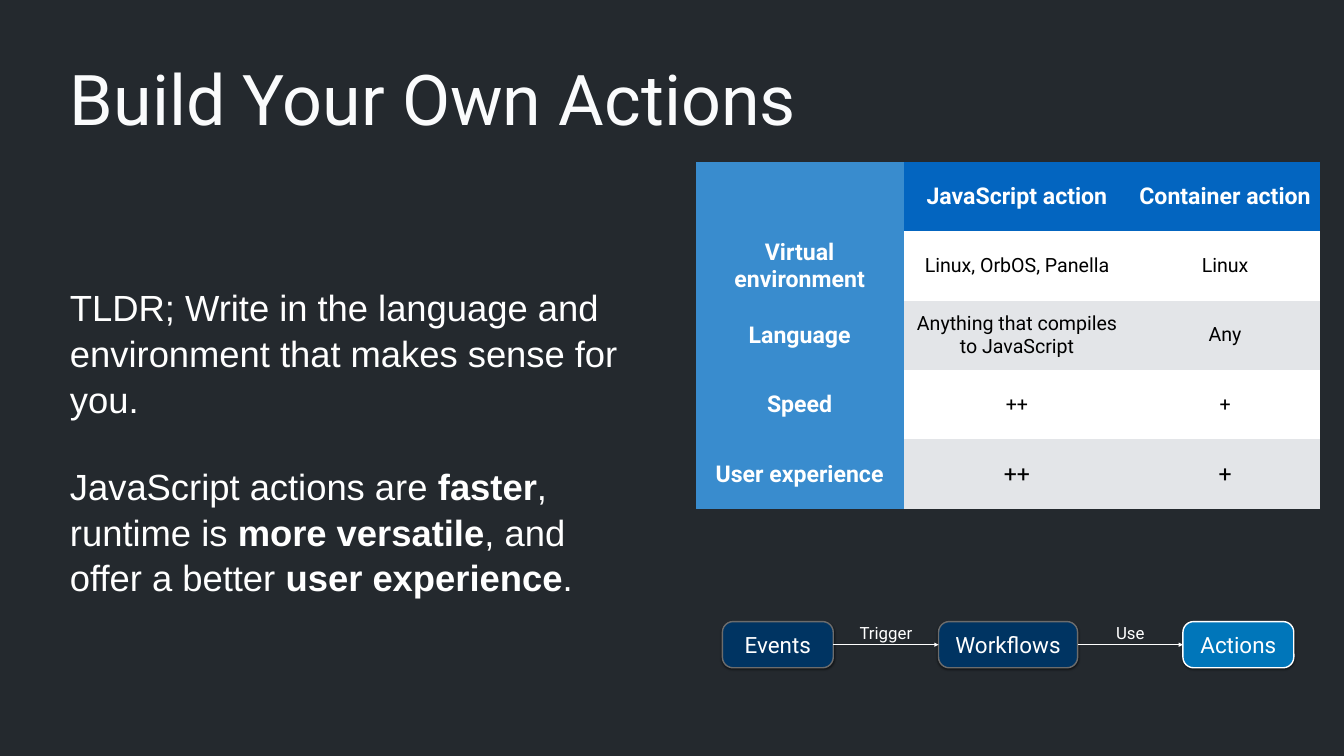
import pptx
import pptx.util
import pptx.dml.color
import pptx.enum.shapes
import pptx.enum.text
import pptx.oxml
import pptx.oxml.ns

Pt = pptx.util.Pt
ALIGN = pptx.enum.text.PP_ALIGN
MIDDLE = pptx.enum.text.MSO_ANCHOR.MIDDLE
NS = pptx.oxml.ns.nsdecls("a")
SIDES = ("margin_left", "margin_top", "margin_right", "margin_bottom")

WHITE = "FFFFFF"
NAVY = "003462"
BLUE = "0076BA"
HEAD_BLUE = "0365C0"
SIDE_BLUE = "398CCE"
BANDS = [WHITE, "E3E5E8"]

SHADOW = (
    f'<a:effectLst {NS}><a:outerShdw blurRad="38100" dist="25400" dir="5400000" rotWithShape="0">'
    '<a:srgbClr val="000000"><a:alpha val="50000"/></a:srgbClr></a:outerShdw></a:effectLst>'
)

ROWS = [
    ["", "JavaScript action", "Container action"],
    ["Virtual environment", "Linux, OrbOS, Panella", "Linux"],
    ["Language", "Anything that compiles to JavaScript", "Any"],
    ["Speed", "++", "+"],
    ["User experience", "++", "+"],
]
COLUMN_WIDTHS = [297.5, 323.5, 271]
ROW_HEIGHT = 99.2

BODY = [
    [("TLDR; Write in the language and environment that makes sense for you.", False)],
    [
        ("JavaScript actions are ", False),
        ("faster", True),
        (", runtime is ", False),
        ("more versatile", True),
        (", and offer a better ", False),
        ("user experience", True),
        (".", False),
    ],
]

STEPS = [
    ("Events", 158.4, NAVY, "6C6C6C"),
    ("Workflows", 198.7, NAVY, "6C6C6C"),
    ("Actions", 158.4, BLUE, WHITE),
]
LINKS = ["Trigger", "Use"]
FLOW_LEFT, FLOW_TOP, STEP_HEIGHT, STEP_GAP = 1032, 888, 66, 150.4


def rgb(color):
    return pptx.dml.color.RGBColor.from_string(color)


def apply(obj, values):
    for name, value in values.items():
        setattr(obj, name, value)


def frame(tf, margin=0, wrap=True):
    apply(tf, {side: Pt(margin) for side in SIDES})
    apply(tf, {"vertical_anchor": MIDDLE, "word_wrap": wrap})


def add_run(p, text, size, color=WHITE, bold=False, font="Roboto"):
    r = p.add_run()
    r.text = text
    apply(r.font, {"name": font, "size": Pt(size), "bold": bold})
    r.font.color.rgb = rgb(color)


def centered_text(tf, text, size, **style):
    p = tf.paragraphs[0]
    p.alignment = ALIGN.CENTER
    add_run(p, text, size, **style)


def add_box(s, left, top, width, height, margin=0, wrap=True):
    tf = s.shapes.add_textbox(Pt(left), Pt(top), Pt(width), Pt(height)).text_frame
    frame(tf, margin, wrap)
    return tf


def add_body(s):
    tf = add_box(s, 100, 280, 800, 700)
    for i, runs in enumerate(BODY):
        p = tf.add_paragraph() if i else tf.paragraphs[0]
        apply(p, {"line_spacing": 1.05, "space_before": Pt(59 if i else 0)})
        for text, bold in runs:
            add_run(p, text, 52, bold=bold, font="Arial")


def fill_cell(cell, color):
    tc_pr = cell._tc.get_or_add_tcPr()
    for side in ("lnL", "lnR", "lnT", "lnB"):
        tc_pr.append(pptx.oxml.parse_xml(f'<a:{side} {NS} w="0"><a:noFill/></a:{side}>'))
    cell.fill.solid()
    cell.fill.fore_color.rgb = rgb(color)


def add_comparison(s):
    shape = s.shapes.add_table(
        len(ROWS), len(COLUMN_WIDTHS), Pt(993.6), Pt(231),
        Pt(sum(COLUMN_WIDTHS)), Pt(ROW_HEIGHT * len(ROWS)),
    )
    table = shape.table
    apply(table, {"first_row": False, "horz_banding": False})
    for column, width in zip(table.columns, COLUMN_WIDTHS):
        column.width = Pt(width)
    for i, texts in enumerate(ROWS):
        table.rows[i].height = Pt(ROW_HEIGHT)
        for j, text in enumerate(texts):
            cell = table.cell(i, j)
            apply(cell, {side: Pt(4) for side in SIDES})
            cell.vertical_anchor = MIDDLE
            heading = i == 0 or j == 0
            fill_cell(cell, SIDE_BLUE if j == 0 else HEAD_BLUE if i == 0 else BANDS[(i - 1) % 2])
            if text:
                size = 33 if heading or i == len(ROWS) - 1 else 28
                color = WHITE if heading else "000000"
                centered_text(cell.text_frame, text, size, color=color, bold=heading)


def add_step(s, left, text, width, fill, line):
    sp = s.shapes.add_shape(
        pptx.enum.shapes.MSO_SHAPE.ROUNDED_RECTANGLE,
        Pt(left), Pt(FLOW_TOP), Pt(width), Pt(STEP_HEIGHT),
    )
    sp.adjustments[0] = 0.23
    sp.fill.solid()
    sp.fill.fore_color.rgb = rgb(fill)
    sp.line.color.rgb = rgb(line)
    sp.line.width = Pt(2)
    sp._element.spPr.append(pptx.oxml.parse_xml(SHADOW))
    frame(sp.text_frame, 4)
    centered_text(sp.text_frame, text, 32)
    return sp


def add_link(s, start, end, label):
    arrow = s.shapes.add_connector(pptx.enum.shapes.MSO_CONNECTOR.STRAIGHT, 0, 0, 0, 0)
    arrow.begin_connect(start, 3)
    arrow.end_connect(end, 1)
    arrow.line.color.rgb = rgb(WHITE)
    arrow.line.width = Pt(2)
    arrow.line._get_or_add_ln().append(pptx.oxml.parse_xml(f'<a:tailEnd {NS} type="triangle"/>'))
    arrow._element.spPr.append(pptx.oxml.parse_xml(f"<a:effectLst {NS}/>"))
    left = start.left.pt + start.width.pt
    tf = add_box(s, left, FLOW_TOP - 2, end.left.pt - left, 37, 4, wrap=False)
    centered_text(tf, label, 24)


def add_flow(s):
    left = FLOW_LEFT
    steps = []
    for text, width, fill, line in STEPS:
        steps.append(add_step(s, left, text, width, fill, line))
        left += width + STEP_GAP
    for start, end, label in zip(steps, steps[1:], LINKS):
        add_link(s, start, end, label)


def main():
    prs = pptx.Presentation()
    apply(prs, {"slide_width": Pt(1920), "slide_height": Pt(1080)})
    s = prs.slides.add_slide(prs.slide_layouts[6])
    s.background.fill.solid()
    s.background.fill.fore_color.rgb = rgb("24292E")
    title = add_box(s, 100, 60, 1720, 160)
    add_run(title.paragraphs[0], "Build Your Own Actions", 100, color="FAFBFC")
    add_body(s)
    add_comparison(s)
    add_flow(s)
    prs.save("out.pptx")


if __name__ == "__main__":
    main()
